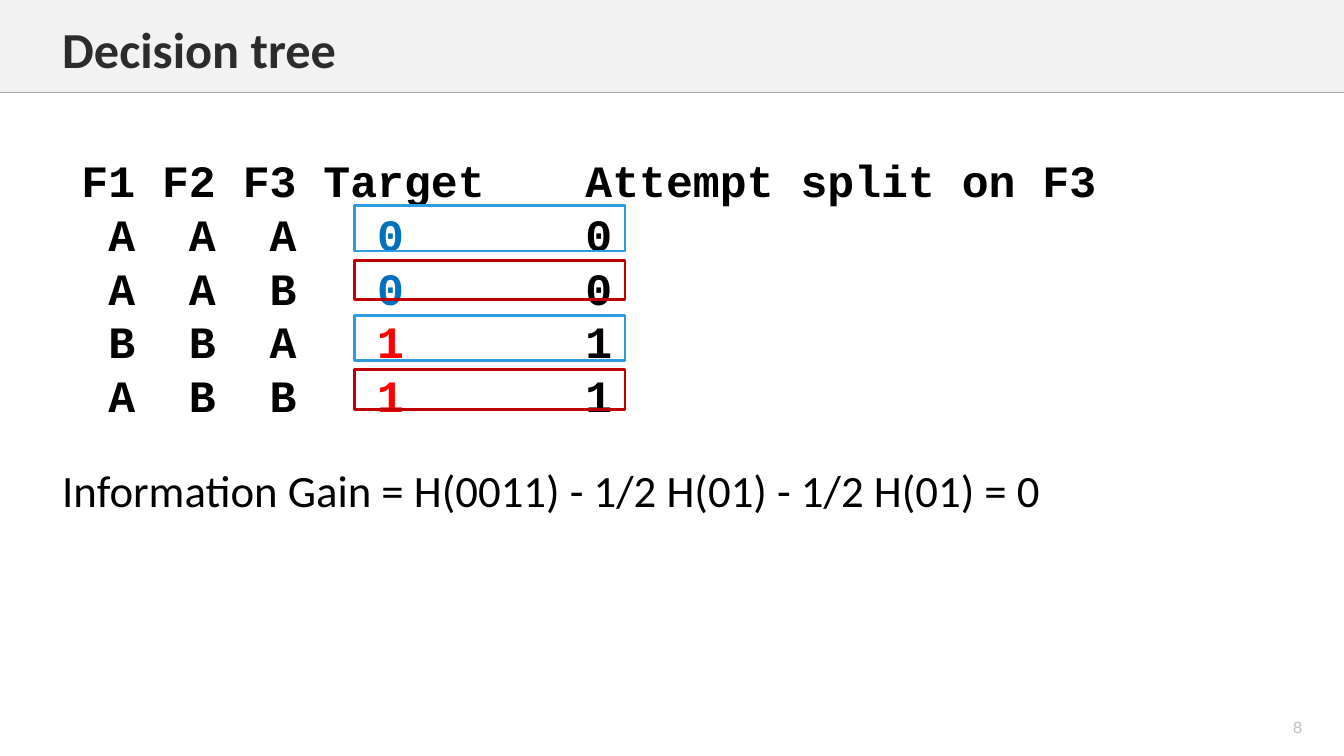
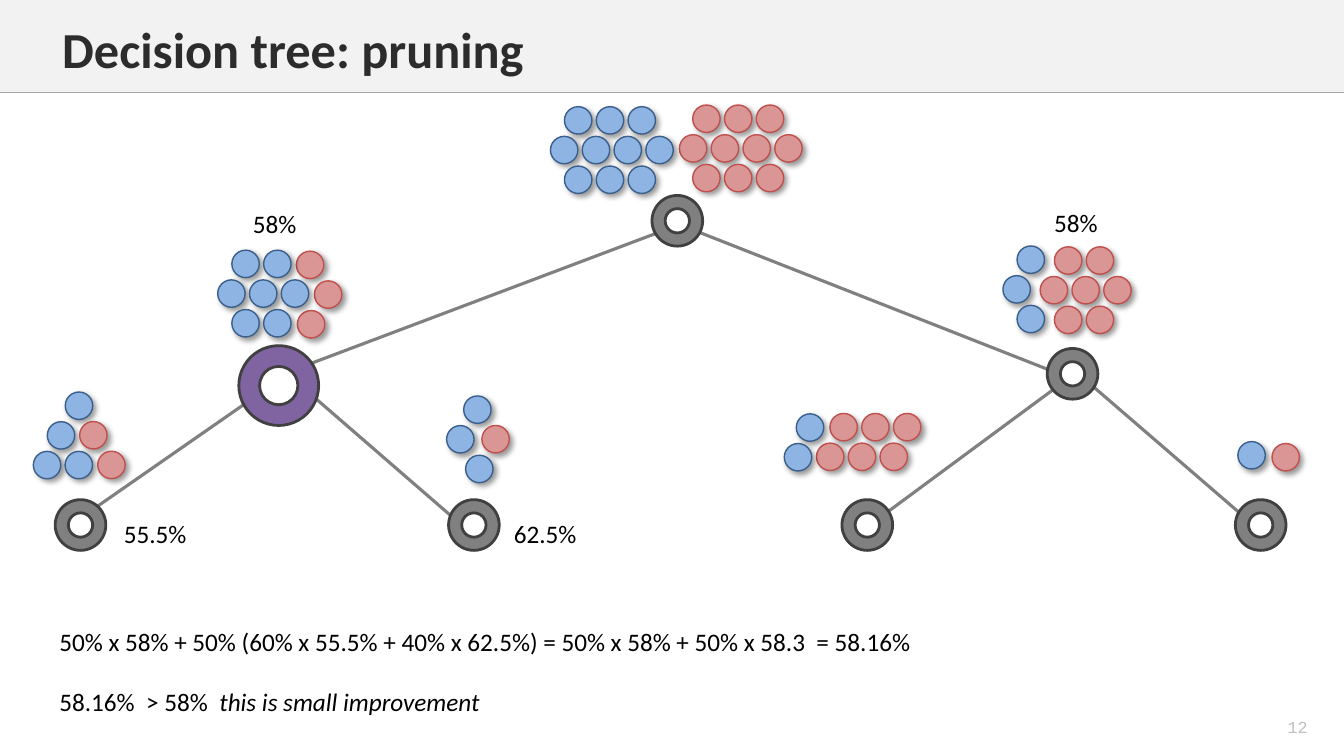
from lxml.etree import SubElement
from pptx import Presentation
from pptx.dml.color import RGBColor
from pptx.enum.shapes import MSO_CONNECTOR, MSO_SHAPE
from pptx.enum.text import MSO_ANCHOR, MSO_AUTO_SIZE, PP_ALIGN
from pptx.oxml.ns import qn
from pptx.util import Pt

COLORS = {
    "band": "F2F2F2", "rule": "A6A6A6", "number": "BFBFBF", "title": "2C2C2C",
    "text": "000000", "white": "FFFFFF",
    "zero": "0070C0", "one": "FF0000", "split A": "2C9BE0", "split B": "C00000",
    "branch": "808080", "node": "808080", "node edge": "404040", "pruned": "8064A2",
    "blue": "8EB4E3", "blue edge": "3A5F8C", "red": "D99694", "red edge": "C0504D",
}
FORMATS = {
    "title": {"name": "Calibri", "size": Pt(36), "bold": True},
    "number": {"name": "Courier New", "size": Pt(12)},
    "sample": {"name": "Courier New", "size": Pt(32), "bold": True},
    "formula": {"name": "Calibri", "size": Pt(32)},
    "label": {"name": "Calibri", "size": Pt(18)},
    "remark": {"name": "Calibri", "size": Pt(18), "italic": True},
}
SLIDE_WIDTH, SLIDE_HEIGHT = 960, 540
BAND_HEIGHT = 66.2

# Slide 1: training samples
HEADINGS = ["F1", "F2", "F3", "Target", "Attempt split on F3"]
SAMPLES = [("A", "A", "A", "0"), ("A", "A", "B", "0"),
           ("B", "B", "A", "1"), ("A", "B", "B", "1")]
HEADING_TABS = [57.6, 115.2, 172.8, 360]
SAMPLE_TABS = [19.2, 76.8, 134.4, 211.2, 360]
ROW_HEIGHT = 38.4
SPLIT_LEFT, SPLIT_TOP, SPLIT_WIDTH, SPLIT_STEP = 253.4, 146.9, 193, 39.1
SPLIT_HEIGHTS = {"A": 32.4, "B": 28.1}
GAIN = "Information Gain = H(0011) - 1/2 H(01) - 1/2 H(01) = 0"

# Slide 2: tree
BRANCHES = [  # from x, y to x, y
    (759.6, 272.9, 613.4, 380.9), (890.6, 370.8, 765.4, 262.8),
    (329.8, 375.1, 205.2, 267.1), (53.3, 373, 197.3, 272.9),
    (202.3, 267.1, 477.4, 163.4), (496.8, 164.9, 756.7, 267.1),
]
NODE_SIZE, HOLE_RATIO = 36.2, 0.48
LEAF_X, LEAF_Y, LEAF_STEP = 57.5, 375, 281
NODES = [(766.1, 267, NODE_SIZE, "node")]  # centre x, y, size, colour
NODES += [(LEAF_X + i * LEAF_STEP, LEAF_Y, NODE_SIZE, "node") for i in range(4)]
NODES += [(483.8, 157.7, NODE_SIZE, "node"), (199.1, 275.4, 57, "pruned")]

DOT_SIZE, DOT_STEP, DOT_ROW_STEP = 19.6, 22.7, 21.2
CLUSTERS = [  # colour, top, rows of (left, count)
    ("red", 75, [(494.8, 3), (485.3, 4), (494.8, 3)]),
    ("blue", 76.2, [(403.2, 3), (393.2, 4), (403.2, 3)]),
    ("blue", 175.7, [(726.5, 1), (716.4, 1), (726.5, 1)]),
    ("red", 176.3, [(753.2, 2), (743, 3), (753.2, 2)]),
    ("red", 179.4, [(211.7, 1), (224.6, 1), (212.4, 1)]),
    ("blue", 178.7, [(165.6, 2), (155.5, 3), (165.6, 2)]),
    ("blue", 280, [(46.6, 1), (33.8, 1), (23.8, 2)]),
    ("red", 301.1, [(56.9, 1), (69.8, 1)]),
    ("blue", 282.8, [(331.2, 1), (319, 1), (332.6, 1)]),
    ("red", 303.9, [(344.2, 1)]),
    ("red", 295.3, [(592.8, 3), (583.2, 3)]),
    ("blue", 295.6, [(568.8, 1), (560.2, 1)]),
    ("blue", 315.4, [(884.2, 1)]),
    ("red", 316.8, [(908.6, 1)]),
]
LEAF_RATES = [("55.5%", 81.4, 366.5), ("62.5%", 360, 366.5)]
NODE_RATES = [("58%", 745.9, 144.7), ("58%", 173.5, 145.4)]
CONCLUSION = [
    [("50% x 58% + 50% (60% x 55.5% + 40% x 62.5%) = 50% x 58% + 50% x 58.3  = 58.16%",
      "label", "text")],
    [("58.16%  > 58%  ", "label", "text"), ("this is small improvement", "remark", "text")],
]


def rgb(color):
    return RGBColor.from_string(COLORS[color])


def add_text(slide, box, paragraphs, wrap=True):
    """Write paragraphs, each a list of (text, format, colour) runs."""
    frame = slide.shapes.add_textbox(*map(Pt, box)).text_frame
    frame.word_wrap = wrap
    frame.auto_size = MSO_AUTO_SIZE.SHAPE_TO_FIT_TEXT
    for i, runs in enumerate(paragraphs):
        paragraph = frame.add_paragraph() if i else frame.paragraphs[0]
        for text, style, color in runs:
            run = paragraph.add_run()
            run.text = text
            for key, value in FORMATS[style].items():
                setattr(run.font, key, value)
            run.font.color.rgb = rgb(color)
    return frame


def add_form(shapes, kind, box, fill=None, edge=None, weight=1):
    form = shapes.add_shape(kind, *map(Pt, box))
    form.shadow.inherit = False
    if fill:
        form.fill.solid()
        form.fill.fore_color.rgb = rgb(fill)
    else:
        form.fill.background()
    if edge:
        form.line.color.rgb = rgb(edge)
        form.line.width = Pt(weight)
    else:
        form.line.fill.background()
    return form


def add_line(slide, ends, color, weight):
    line = slide.shapes.add_connector(MSO_CONNECTOR.STRAIGHT, *map(Pt, ends))
    line.line.color.rgb = rgb(color)
    line.line.width = Pt(weight)
    SubElement(line._element.spPr, qn("a:effectLst"))


def add_page(deck, title, number):
    slide = deck.slides.add_slide(deck.slide_layouts[6])
    add_form(slide.shapes, MSO_SHAPE.RECTANGLE, (0, 0, SLIDE_WIDTH, BAND_HEIGHT), "band")
    add_line(slide, (0, BAND_HEIGHT, SLIDE_WIDTH, BAND_HEIGHT), "rule", 1)
    footer = add_text(slide, (895.7, 508.3, 62.6, 22), [[(number, "number", "number")]])
    footer.vertical_anchor = MSO_ANCHOR.MIDDLE
    footer.paragraphs[0].alignment = PP_ALIGN.CENTER
    return slide, title


def add_title(slide, title):
    add_text(slide, (37.4, 9.4, 856, 51), [[(title, "title", "title")]])


def set_tabs(paragraph, stops):
    tabs = SubElement(paragraph._p.get_or_add_pPr(), qn("a:tabLst"))
    for stop in stops:
        SubElement(tabs, qn("a:tab"), pos=str(Pt(stop)), algn="l")


def add_node(slide, x, y, size, color):
    group = slide.shapes.add_group_shape()
    for diameter, fill in ((size, color), (size * HOLE_RATIO, "white")):
        box = (x - diameter / 2, y - diameter / 2, diameter, diameter)
        add_form(group.shapes, MSO_SHAPE.OVAL, box, fill, "node edge", 2)


def add_dot(slide, left, top, color):
    dot = add_form(slide.shapes, MSO_SHAPE.OVAL, (left, top, DOT_SIZE, DOT_SIZE),
                   color, f"{color} edge")
    effects = dot._element.spPr.find(qn("a:effectLst"))
    shadow = SubElement(effects, qn("a:outerShdw"), blurRad=str(Pt(4)), dist=str(Pt(3)),
                        dir="2700000", algn="tl", rotWithShape="0")
    black = SubElement(shadow, qn("a:srgbClr"), val=COLORS["text"])
    SubElement(black, qn("a:alpha"), val="40000")


def build_split(deck):
    slide, title = add_page(deck, "Decision tree", "8")
    add_title(slide, title)
    rows = [[("\t".join(HEADINGS), "sample", "text")]]
    for *features, target in SAMPLES:
        rows.append([
            ("\t" + "\t".join(features) + "\t", "sample", "text"),
            (target + "\t", "sample", "one" if target == "1" else "zero"),
            (target, "sample", "text"),
        ])
    frame = add_text(slide, (51.1, 101.5, 843, 200.9), rows)
    frame.margin_top, frame.margin_bottom = Pt(7.6), Pt(1.3)
    for i, paragraph in enumerate(frame.paragraphs):
        paragraph.line_spacing = Pt(ROW_HEIGHT)
        set_tabs(paragraph, SAMPLE_TABS if i else HEADING_TABS)
    add_text(slide, (37.4, 326.9, 856, 46), [[(GAIN, "formula", "text")]])
    for i, (_, _, branch, _) in enumerate(SAMPLES):
        box = (SPLIT_LEFT, SPLIT_TOP + i * SPLIT_STEP, SPLIT_WIDTH, SPLIT_HEIGHTS[branch])
        add_form(slide.shapes, MSO_SHAPE.RECTANGLE, box, edge=f"split {branch}", weight=2)


def build_pruning(deck):
    slide, title = add_page(deck, "Decision tree: pruning", "12")
    for ends in BRANCHES:
        add_line(slide, ends, "branch", 2.25)
    add_title(slide, title)
    for color, top, rows in CLUSTERS:
        for row, (left, count) in enumerate(rows):
            for i in range(count):
                add_dot(slide, left + i * DOT_STEP, top + row * DOT_ROW_STEP, color)
    for node in NODES:
        add_node(slide, *node)
    for rates, width, wrap in ((LEAF_RATES, 59.8, False), (NODE_RATES, 62.6, True)):
        for rate, left, top in rates:
            add_text(slide, (left, top, width, 29), [[(rate, "label", "text")]], wrap)
    frame = add_text(slide, (35.3, 443.5, 630, 72.7), CONCLUSION, wrap=False)
    frame.paragraphs[1].space_before = Pt(21.5)


def main():
    deck = Presentation()
    deck.slide_width, deck.slide_height = Pt(SLIDE_WIDTH), Pt(SLIDE_HEIGHT)
    build_split(deck)
    build_pruning(deck)
    deck.save("out.pptx")


if __name__ == "__main__":
    main()
